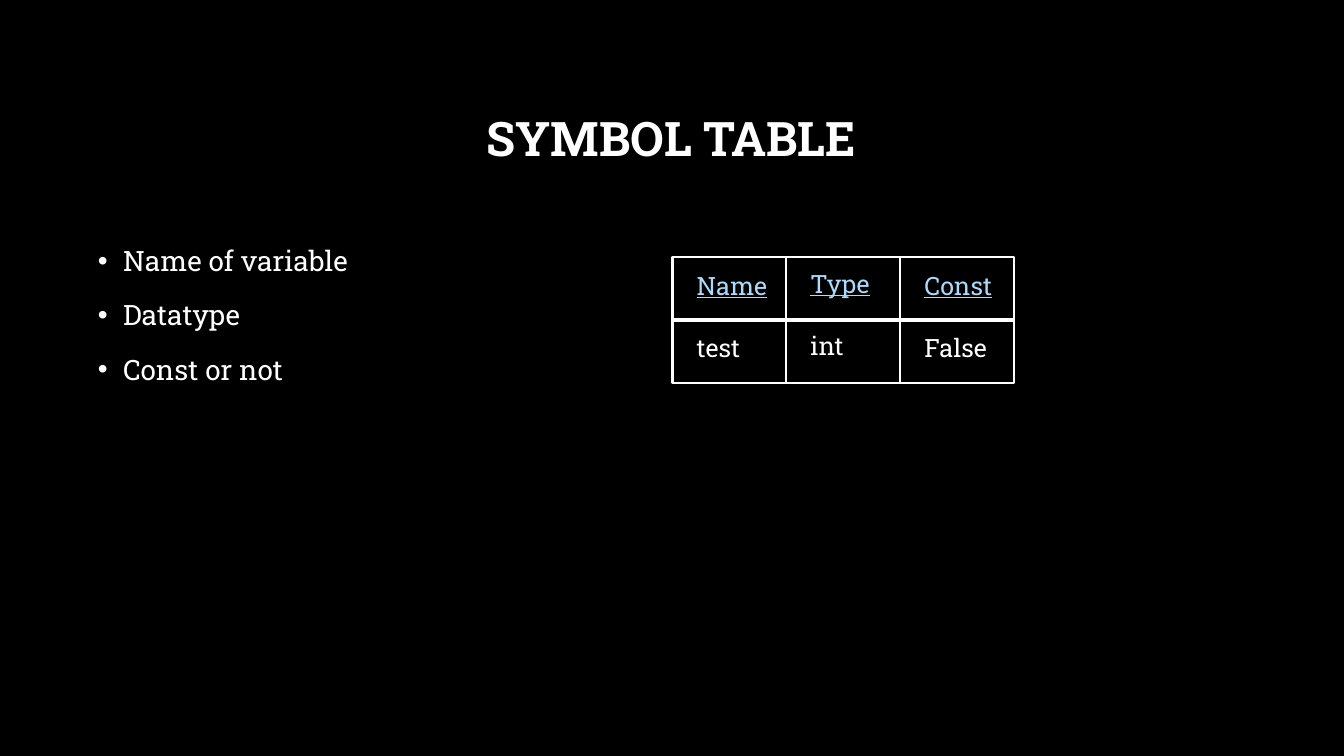
"""Build the Symbol Table slide with its list of fields and a sample grid."""
import lxml.etree
import pptx
import pptx.dml.color
import pptx.enum.shapes
import pptx.enum.text
import pptx.oxml.ns
import pptx.util

Inches = pptx.util.Inches
Pt = pptx.util.Pt
ANCHOR = pptx.enum.text.MSO_ANCHOR
AUTO_SIZE = pptx.enum.text.MSO_AUTO_SIZE

FONT = "Roboto Slab"
COLORS = {"background": "000000", "text": "FFFFFF", "heading": "ABDAFC"}
FIELDS = ["Name of variable", "Datatype", "Const or not"]
SYMBOLS = [["Name", "Type", "Const"], ["test", "int", "False"]]
GRID_LEFT, GRID_TOP = 6.67, 2.55
CELL_WIDTH, CELL_HEIGHT, ROW_PITCH = 1.13, 0.63, 0.62
LABEL_INDENT = 0.14
LABEL_DROPS = [0.08, 0.06, 0.08]


def rgb(name):
    return pptx.dml.color.RGBColor.from_string(COLORS[name])


def apply(target, values):
    for attribute, value in values.items():
        setattr(target, attribute, value)


def place(shape, left, top, width, height):
    apply(shape, {"left": Inches(left), "top": Inches(top),
                  "width": Inches(width), "height": Inches(height)})


def write(paragraph, text, size, color="text", **style):
    run = paragraph.add_run()
    run.text = text
    apply(run.font, {"name": FONT, "size": Pt(size), **style})
    run.font.color.rgb = rgb(color)


def add_bullet(paragraph):
    properties = paragraph._p.get_or_add_pPr()
    properties.set("marL", str(Inches(0.25)))
    properties.set("indent", str(-Inches(0.25)))
    for tag, attribute, value in [("a:buFont", "typeface", "Arial"), ("a:buChar", "char", "•")]:
        element = lxml.etree.SubElement(properties, pptx.oxml.ns.qn(tag))
        element.set(attribute, value)


def add_title(slide, text):
    title = slide.shapes.title
    place(title, 1, 0.67, 11.32, 1.45)
    apply(title.text_frame, {"vertical_anchor": ANCHOR.MIDDLE, "word_wrap": True,
                             "auto_size": AUTO_SIZE.NONE})
    heading = title.text_frame.paragraphs[0]
    apply(heading, {"alignment": pptx.enum.text.PP_ALIGN.CENTER, "line_spacing": 0.9})
    write(heading, text, 34, bold=True)


def add_list(slide, items):
    body = slide.placeholders[1]
    place(body, 0.87, 2.3, 11.32, 4.04)
    frame = body.text_frame
    apply(frame, {"vertical_anchor": ANCHOR.TOP, "word_wrap": True,
                  "auto_size": AUTO_SIZE.NONE})
    for index, item in enumerate(items):
        paragraph = frame.add_paragraph() if index else frame.paragraphs[0]
        apply(paragraph, {"line_spacing": 1.2, "space_before": Pt(10)})
        add_bullet(paragraph)
        write(paragraph, item, 20)


def add_cell(slide, left, top):
    cell = slide.shapes.add_shape(
        pptx.enum.shapes.MSO_SHAPE.RECTANGLE, Inches(left), Inches(top),
        Inches(CELL_WIDTH), Inches(CELL_HEIGHT))
    cell.shadow.inherit = False
    cell.fill.background()
    cell.line.color.rgb = rgb("text")
    cell.line.width = Pt(1.5)


def add_label(slide, left, top, text, **style):
    label = slide.shapes.add_textbox(Inches(left), Inches(top), Inches(1.32), Inches(0.4))
    apply(label.text_frame, {"word_wrap": True, "auto_size": AUTO_SIZE.SHAPE_TO_FIT_TEXT})
    write(label.text_frame.paragraphs[0], text, 18, **style)


def add_symbol_grid(slide, rows):
    for row_index, row in enumerate(rows):
        style = {"underline": True, "color": "heading"} if row_index == 0 else {}
        top = GRID_TOP + row_index * ROW_PITCH
        for column_index, (text, drop) in enumerate(zip(row, LABEL_DROPS)):
            left = GRID_LEFT + column_index * CELL_WIDTH
            add_cell(slide, left, top)
            add_label(slide, left + LABEL_INDENT, top + drop, text, **style)


def main():
    presentation = pptx.Presentation()
    apply(presentation, {"slide_width": Inches(13.33), "slide_height": Inches(7.5)})
    slide = presentation.slides.add_slide(presentation.slide_layouts[1])
    slide.background.fill.solid()
    slide.background.fill.fore_color.rgb = rgb("background")
    add_title(slide, "SYMBOL TABLE")
    add_list(slide, FIELDS)
    add_symbol_grid(slide, SYMBOLS)
    presentation.save("out.pptx")


if __name__ == "__main__":
    main()
